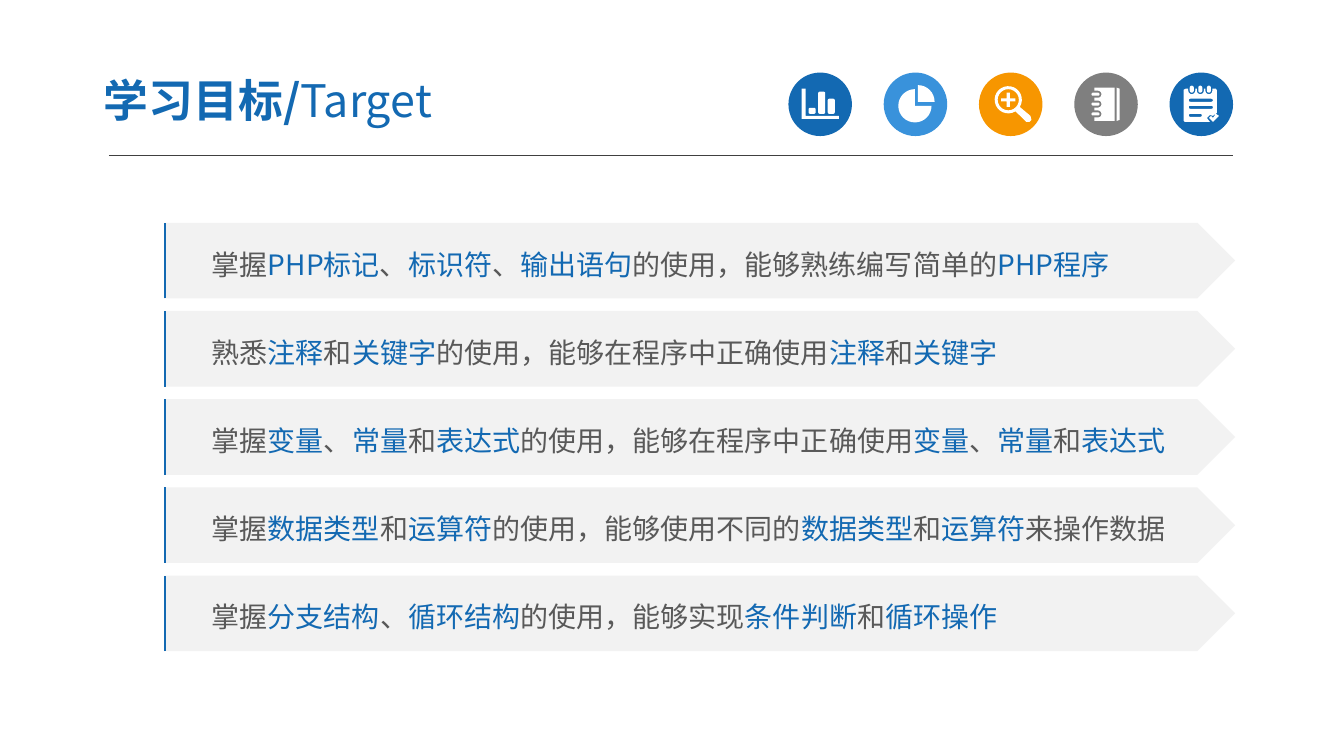
import math

from lxml import etree
from pptx import Presentation, util as u
from pptx.dml.color import RGBColor
from pptx.enum import shapes, text
from pptx.oxml.ns import qn

Inches, Pt = u.Inches, u.Pt
MSO = shapes.MSO_SHAPE
FONT = "Noto Sans CJK SC"
COLORS = {"blue": "1369B2", "sky": "3992DB", "orange": "F79600", "gray": "7F7F7F",
          "white": "FFFFFF", "band": "F2F2F2", "text": "595959", "rule": "404040"}

GOALS = [
    "掌握*PHP标记*、*标识符*、*输出语句*的使用，能够熟练编写简单的*PHP程序*",
    "熟悉*注释*和*关键字*的使用，能够在程序中正确使用*注释*和*关键字*",
    "掌握*变量*、*常量*和*表达式*的使用，能够在程序中正确使用*变量*、*常量*和*表达式*",
    "掌握*数据类型*和*运算符*的使用，能够使用不同的*数据类型*和*运算符*来操作数据",
    "掌握*分支结构*、*循环结构*的使用，能够实现*条件判断*和*循环操作*",
]


def rgb(name):
    """Return a palette colour."""
    return RGBColor.from_string(COLORS[name])


def arc(cx, cy, radius, start, end, steps):
    """Return points on a clockwise arc, angles in degrees."""
    angles = [math.radians(start + (end - start) * i / steps) for i in range(steps + 1)]
    return [(cx + radius * math.cos(a), cy + radius * math.sin(a)) for a in angles]


def box(x, y, w, h, radius=0.015):
    """Return the outline of a rounded box."""
    corners = [(x + w - radius, y + h - radius), (x + radius, y + h - radius),
               (x + radius, y + radius), (x + w - radius, y + radius)]
    return [pt for i, (cx, cy) in enumerate(corners)
            for pt in arc(cx, cy, radius, 90 * i, 90 * i + 90, 3)]


def bar_icon():
    """Outline a bar chart with its axes."""
    axes = [(0.13, 0.16), (0.17, 0.16), (0.17, 0.43), (0.5, 0.43), (0.5, 0.46), (0.13, 0.46)]
    bars = [box(0.2 + i * 0.095, 0.41 - h, 0.07, h) for i, h in enumerate((0.06, 0.22, 0.15))]
    return [axes] + bars


def pie_icon():
    """Outline a pie with its upper right quarter pulled out."""
    return [[(0.34, 0.29)] + arc(0.34, 0.29, 0.165, 270, 360, 8),
            [(0.31, 0.33)] + arc(0.31, 0.33, 0.165, 0, 270, 24)]


def search_icon():
    """Outline a magnifier with a plus sign."""
    handle = [(0.47, 0.49), (0.5, 0.49), (0.52, 0.47), (0.51, 0.43)]
    lens = arc(0.29, 0.27, 0.135, 58, 392, 24)
    a, b = 0.07, 0.015
    plus = [(-a, -b), (-b, -b), (-b, -a), (b, -a), (b, -b), (a, -b),
            (a, b), (b, b), (b, a), (-b, a), (-b, b), (-a, b)]
    return [lens + handle[::-1], arc(0.29, 0.27, 0.105, 0, 360, 24),
            [(0.29 + dx, 0.27 + dy) for dx, dy in plus]]


def notebook_icon():
    """Outline a ring-bound notebook."""
    rings = [0.215 + i * 0.098 for i in range(3)]
    notches = [pt for ring in rings[::-1]
               for pt in [(0.2, ring + 0.035)] + arc(0.235, ring, 0.035, 90, -90, 6)
               + [(0.2, ring - 0.035)]]
    body = [(0.2, 0.15), (0.4, 0.15), (0.4, 0.48), (0.2, 0.48)] + notches
    strip = [(0.42, 0.15), (0.45, 0.16), (0.45, 0.47), (0.42, 0.48)]
    return [body, strip] + [box(0.17, ring - 0.015, 0.08, 0.03) for ring in rings]


def notepad_icon():
    """Outline a ticked notepad with three rings."""
    rings = [0.22 + i * 0.085 for i in range(3)]
    notches = [pt for ring in rings
               for pt in [(ring - 0.035, 0.16)] + arc(ring, 0.18, 0.035, 180, 0, 6)
               + [(ring + 0.035, 0.16)]]
    body = ([(0.14, 0.17), (0.16, 0.16)] + notches + [(0.46, 0.16), (0.47, 0.18), (0.47, 0.4),
            (0.43, 0.43), (0.4, 0.42), (0.37, 0.45), (0.4, 0.49), (0.15, 0.49), (0.14, 0.48)])
    lines = [box(0.19, top, w, 0.03) for top, w in ((0.26, 0.24), (0.33, 0.24), (0.41, 0.13))]
    tick = [(0.39, 0.45), (0.41, 0.43), (0.43, 0.45), (0.46, 0.41), (0.49, 0.43), (0.43, 0.49)]
    return [body, tick] + lines + [box(ring - 0.02, 0.13, 0.04, 0.07, 0.02) for ring in rings]


def fill_shape(sp, color):
    """Give a shape a flat fill without line or shadow."""
    sp.shadow.inherit = False
    sp.fill.solid()
    sp.fill.fore_color.rgb = rgb(color)
    sp.line.fill.background()


def add_solid(s, kind, x, y, w, h, color):
    """Add a plain filled preset shape."""
    sp = s.shapes.add_shape(kind, Inches(x), Inches(y), Inches(w), Inches(h))
    fill_shape(sp, color)
    return sp


def add_icon(s, x, y, outlines):
    """Draw the outlines as one white freeform; inner outlines are holes."""
    paths = [[(Inches(x + dx), Inches(y + dy)) for dx, dy in outline] for outline in outlines]
    fb = s.shapes.build_freeform(*paths[0][0])
    fb.add_line_segments(paths[0][1:])
    for pts in paths[1:]:
        fb.move_to(*pts[0])
        fb.add_line_segments(pts[1:])
    fill_shape(fb.convert_to_shape(), "white")


def add_edge(s, x, y, h):
    """Draw the blue left edge of a band as an open outline."""
    fb = s.shapes.build_freeform(Inches(x), Inches(y + h))
    fb.add_line_segments([(Inches(x), Inches(y))], close=False)
    fb.move_to(Inches(x + 0.16), Inches(y))
    sp = fb.convert_to_shape()
    sp.shadow.inherit = False
    sp.fill.background()
    sp.line.color.rgb = rgb("blue")
    sp.line.width = Pt(1.5)


def add_run(p, words, size, color, bold=False):
    """Append a run in the slide's font."""
    r = p.add_run()
    r.text = words
    r.font.size, r.font.bold, r.font.name = Pt(size), bold, FONT
    r.font.color.rgb = rgb(color)
    etree.SubElement(r._r.get_or_add_rPr(), qn("a:ea"), typeface=FONT)


def add_header(s, x, y, w):
    """Place the title, the row of icons and the rule below them."""
    rule = s.shapes.add_connector(shapes.MSO_CONNECTOR.STRAIGHT, Inches(x), Inches(y + 0.91),
                                  Inches(x + w), Inches(y + 0.91))
    rule.line.color.rgb = rgb("rule")
    rule.line.width = Pt(0.75)
    etree.SubElement(rule._element.spPr, qn("a:effectLst"))
    icons = [(bar_icon, "blue"), (pie_icon, "sky"), (search_icon, "orange"),
             (notebook_icon, "gray"), (notepad_icon, "blue")]
    disc, pitch = 0.63, 0.945
    first = x + w - disc - pitch * (len(icons) - 1)
    for i, (outline, color) in enumerate(icons):
        left = first + i * pitch
        add_solid(s, MSO.OVAL, left, y + 0.09, disc, disc, color)
        add_icon(s, left, y + 0.09, outline())
    tf = s.shapes.add_textbox(Inches(x - 0.18), Inches(y), Inches(5.22), Inches(0.72)).text_frame
    tf.word_wrap = True
    tf.vertical_anchor = text.MSO_ANCHOR.MIDDLE
    tf.margin_left = tf.margin_right = Inches(0.13)
    tf.margin_top = tf.margin_bottom = Inches(0.07)
    add_run(tf.paragraphs[0], "学习目标/", 32, "blue", True)
    add_run(tf.paragraphs[0], "Target", 32, "blue")


def add_goal(s, x, y, w, h, goal):
    """Place one arrow band; words between asterisks turn blue."""
    tf = add_solid(s, MSO.PENTAGON, x, y, w, h, "band").text_frame
    tf.word_wrap = True
    tf.vertical_anchor = text.MSO_ANCHOR.MIDDLE
    tf.margin_left = Inches(0.47)
    p = tf.paragraphs[0]
    p.alignment = text.PP_ALIGN.LEFT
    p.line_spacing = 1.2
    for i, words in enumerate(goal.split("*")):
        if words:
            add_run(p, words, 20, "blue" if i % 2 else "text")
    add_edge(s, x + 0.01, y, h)


def main():
    """Build and save the slide."""
    prs = Presentation()
    prs.slide_width, prs.slide_height = Inches(13.33), Inches(7.5)
    s = prs.slides.add_slide(prs.slide_layouts[6])
    add_header(s, 1.08, 0.63, 11.15)
    for i, goal in enumerate(GOALS):
        add_goal(s, 1.63, 2.21 + i * 0.875, 10.62, 0.75, goal)
    prs.save("out.pptx")


if __name__ == "__main__":
    main()
